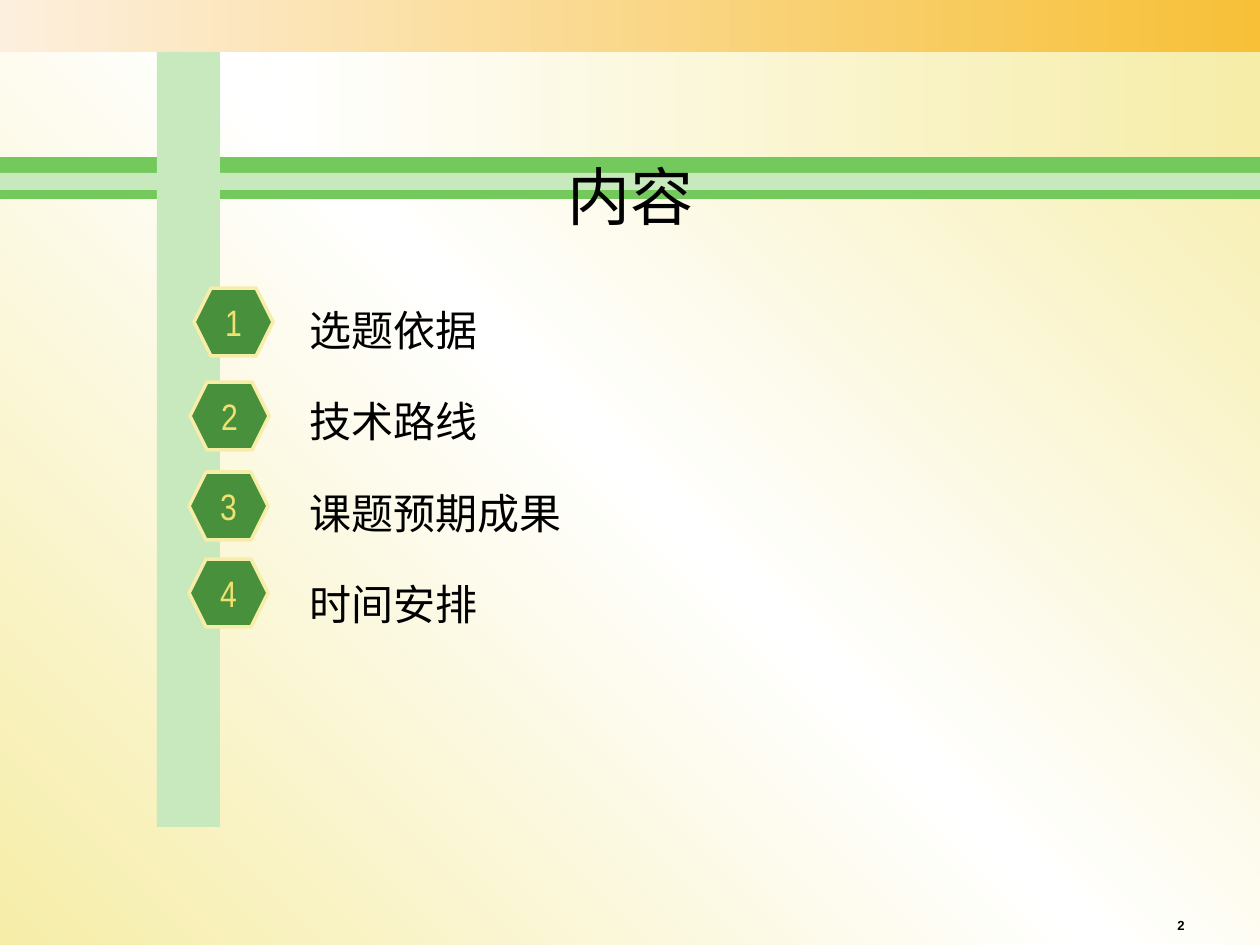
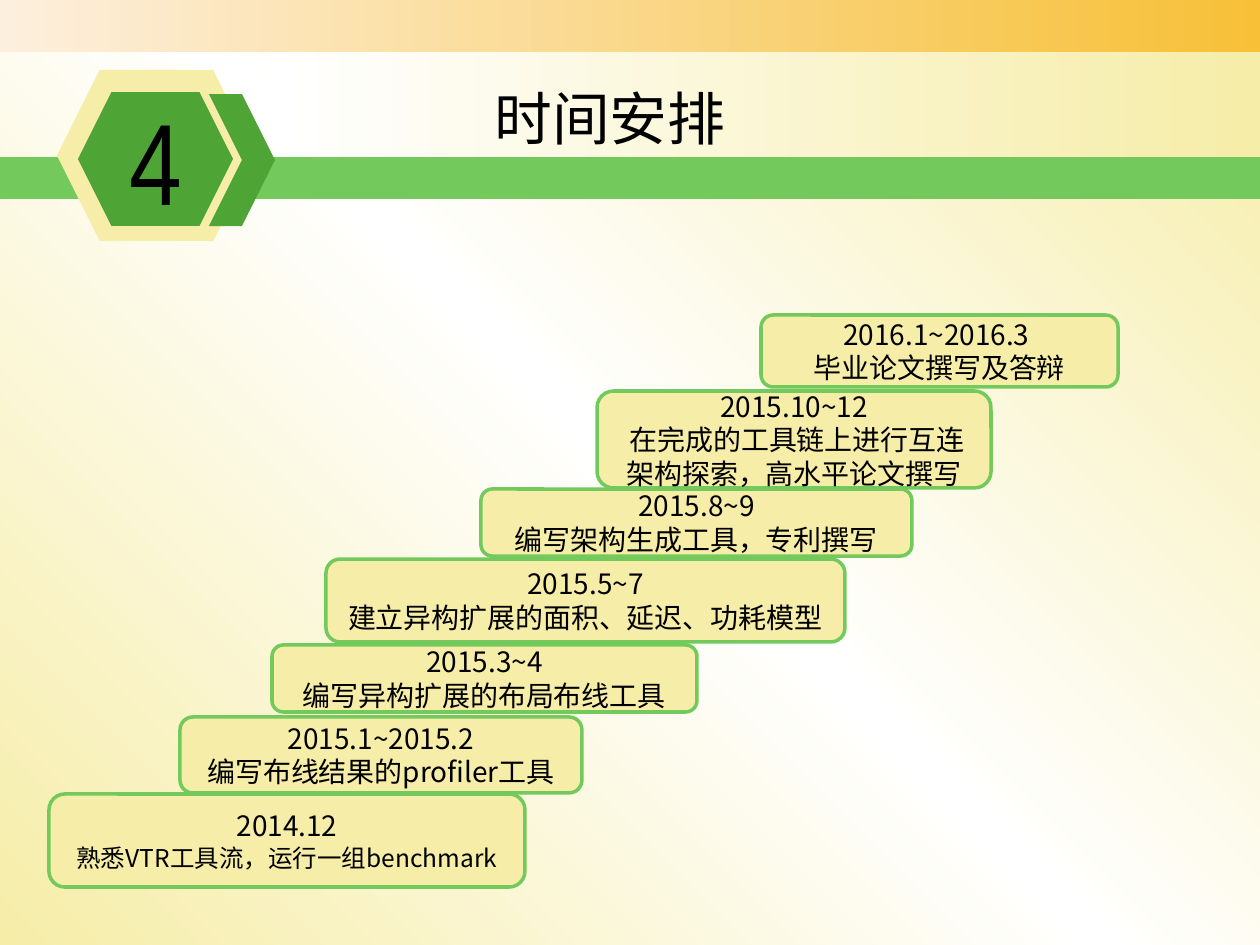
"""Build the contents slide and the schedule slide of a thesis proposal."""
from copy import deepcopy

from lxml.etree import SubElement
from pptx import Presentation
from pptx.dml.color import RGBColor
from pptx.enum.shapes import MSO_SHAPE
from pptx.enum.text import MSO_ANCHOR, PP_ALIGN
from pptx.oxml.ns import qn
from pptx.util import Pt

EMU_PER_PX = 914400 / 126
WIDTH, HEIGHT = 1260, 945
CREAM, WHITE, BLACK = "F6EDA8", "FFFFFF", "000000"
GREEN, PALE_GREEN, LEAF, MOSS = "73C95B", "C7E9BD", "4EA536", "48903B"
CJK, NARROW = "Noto Sans CJK SC", "Arial Narrow"


def draw(page, kind, place, color=None, border=None):
    """Add a preset shape, or a text box when kind is None, placed in px."""
    lengths = [round(length * EMU_PER_PX) for length in place]
    if kind is None:
        box = page.shapes.add_textbox(*lengths)
        box.text_frame.word_wrap = True
        return box
    box = page.shapes.add_shape(kind, *lengths)
    box.shadow.inherit = False
    if color:
        box.fill.solid()
        box.fill.fore_color.rgb = RGBColor.from_string(color)
    if border:
        box.line.color.rgb = RGBColor.from_string(border)
        box.line.width = Pt(2)
    else:
        box.line.fill.background()
    box.text_frame.vertical_anchor = MSO_ANCHOR.MIDDLE
    return box


def write(para, text, size, font=CJK, color=BLACK, align=PP_ALIGN.CENTER, leading=None):
    """Add one run to a paragraph; leading is a multiple of the text size."""
    para.alignment = align
    if leading:
        para.line_spacing = Pt(size * leading)
    span = para.add_run()
    span.text = text
    span.font.size = Pt(size)
    span.font.color.rgb = RGBColor.from_string(color)
    span.font.name = font
    SubElement(span.font._element, qn("a:ea")).set("typeface", font)
    return span


deck = Presentation()
deck.slide_width = round(WIDTH * EMU_PER_PX)
deck.slide_height = round(HEIGHT * EMU_PER_PX)
contents, schedule = [deck.slides.add_slide(deck.slide_layouts[6]) for _ in range(2)]

for page in (contents, schedule):
    top_band = draw(page, MSO_SHAPE.RECTANGLE, (0, 0, WIDTH, 52))
    title_band = draw(page, MSO_SHAPE.RECTANGLE, (273, 52, 987, 105))
    draw(page, MSO_SHAPE.RECTANGLE, (0, 157, WIDTH, 42), GREEN)
    for fill, colors, angle in (
        (page.background.fill, (CREAM, WHITE, CREAM), 45),
        (top_band.fill, ("FDEFDD", "F7C037"), 0),
        (title_band.fill, (WHITE, CREAM), 0),
    ):
        fill.gradient()
        fill.gradient_angle = angle
        if len(colors) == 3:
            first = fill.gradient_stops[0]._gs
            first.addnext(deepcopy(first))
        for index, (stop, color) in enumerate(zip(fill.gradient_stops, colors)):
            stop.color.rgb = RGBColor.from_string(color)
            stop.position = index / (len(colors) - 1)

draw(contents, MSO_SHAPE.RECTANGLE, (157, 52, 63, 775), PALE_GREEN)
draw(contents, MSO_SHAPE.RECTANGLE, (0, 173, WIDTH, 17), PALE_GREEN)
title = draw(contents, None, (475, 145, 310, 89))
write(title.text_frame.paragraphs[0], "内容", 36, leading=1.3)

topics = draw(contents, None, (297, 273, 723, 488)).text_frame
for index, topic in enumerate(("选题依据", "技术路线", "课题预期成果", "时间安排")):
    para = topics.add_paragraph() if index else topics.paragraphs[0]
    para.space_before = Pt(9 if index else 0)
    write(para, topic, 24, align=PP_ALIGN.LEFT, leading=1.8)

for number, (left, top) in enumerate(((194, 288), (190, 382), (189, 472), (189, 559)), 1):
    badge = draw(contents, MSO_SHAPE.HEXAGON, (left, top, 79, 68), MOSS, CREAM)
    write(badge.text_frame.paragraphs[0], str(number), 21, NARROW, "F0E170")

footer = draw(contents, None, (903, 911, 294, 34))
write(footer.text_frame.paragraphs[0], "2", 7.5, "Arial", align=PP_ALIGN.RIGHT).font.bold = True

draw(schedule, MSO_SHAPE.HEXAGON, (57, 70, 199, 171), CREAM)
chapter = draw(schedule, MSO_SHAPE.HEXAGON, (78, 92, 155, 134), LEAF)
write(chapter.text_frame.paragraphs[0], "4", 66, NARROW)
draw(schedule, MSO_SHAPE.CHEVRON, (209, 94, 66, 132), LEAF)
title = draw(schedule, None, (481, 71, 258, 83))
title.text_frame.word_wrap = False
write(title.text_frame.paragraphs[0], "时间安排", 33, leading=1.3)

steps = (
    ((180, 717, 402, 76), "2015.1~2015.2", "编写布线结果的profiler工具", 16),
    ((49, 794, 476, 93), "2014.12", "熟悉VTR工具流，运行一组benchmark", 14),
    ((272, 645, 425, 67), "2015.3~4", "编写异构扩展的布局布线工具", 16),
    ((326, 559, 519, 83), "2015.5~7", "建立异构扩展的面积、延迟、功耗模型", 16),
    ((597, 391, 394, 97), "2015.10~12", " 在完成的工具链上进行互连架构探索，高水平论文撰写", 16),
    ((761, 315, 357, 72), "2016.1~2016.3 ", "毕业论文撰写及答辩", 16),
    ((481, 489, 431, 67), "2015.8~9", "编写架构生成工具，专利撰写", 16),
)
for place, period, task, task_size in steps:
    callout = draw(schedule, MSO_SHAPE.ROUNDED_RECTANGULAR_CALLOUT, place, CREAM, GREEN)
    for index, value in enumerate((-0.17, 0.5, 0.17)):
        callout.adjustments[index] = value
    write(callout.text_frame.paragraphs[0], period, 16, leading=1.2)
    write(callout.text_frame.add_paragraph(), task, task_size, leading=1.2)

deck.save("out.pptx")
